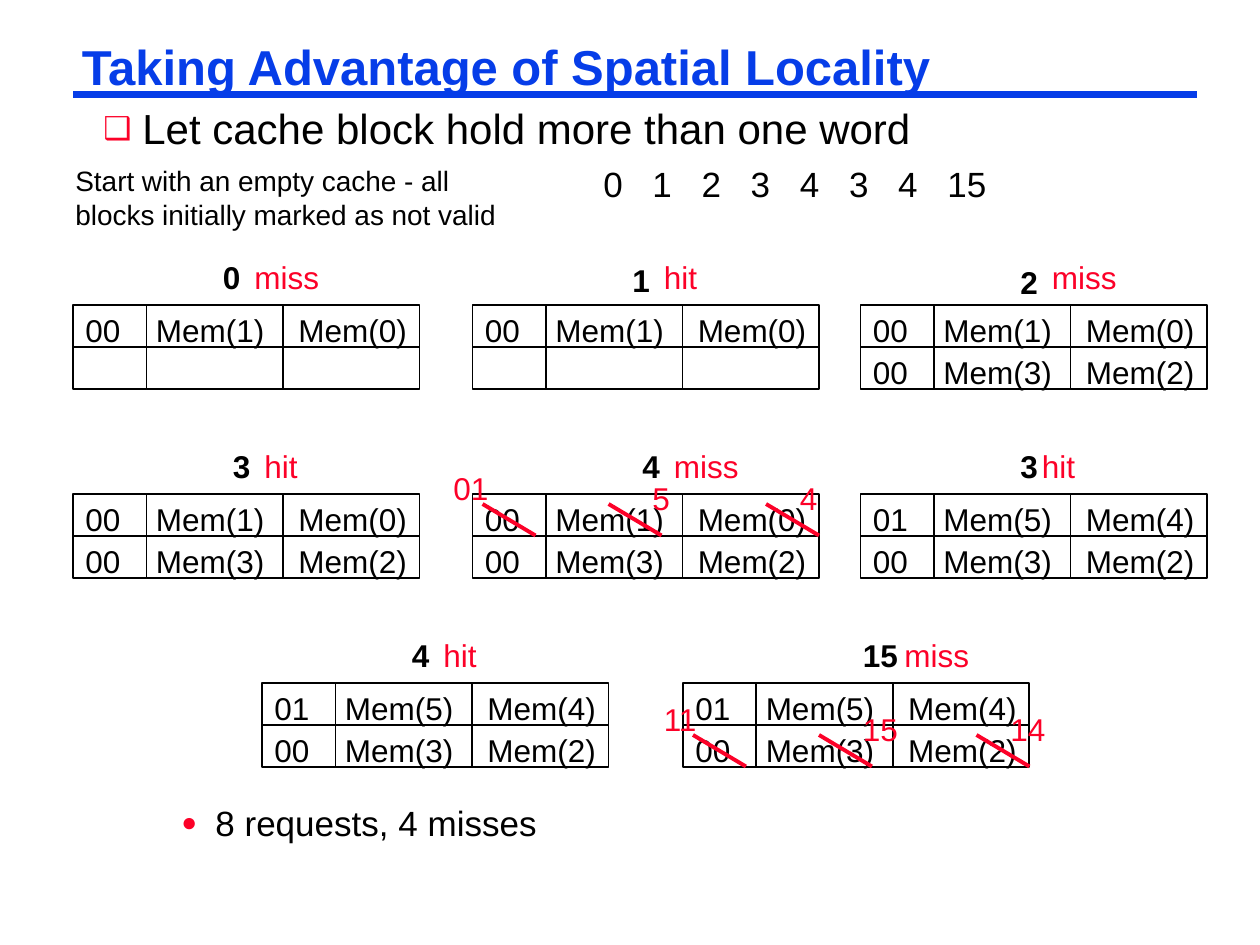
import pptx
import pptx.dml.color
import pptx.enum.shapes
import pptx.enum.text
import pptx.oxml
import pptx.oxml.ns
import pptx.util
from pptx.util import Inches

COLORS = {"title": "063DE8", "accent": "FC0128", "text": "000000"}
TAG_WIDTH, WORD_WIDTH = 7 / 12, 13 / 12
ROW_HEIGHT = 1 / 3
NS = pptx.oxml.ns.nsdecls("a")
ANCHOR = pptx.enum.text.MSO_ANCHOR


def rgb(name):
    return pptx.dml.color.RGBColor.from_string(COLORS[name])


class SlideBuilder:
    font = "Arial"

    def __init__(self, prs):
        self.slide = prs.slides.add_slide(prs.slide_layouts[6])

    def text(self, x, y, w, h, text, size=18, color="text", bold=False,
             wrap=False, insets=(0.1, 0.05), anchor=ANCHOR.TOP):
        sp = self.slide.shapes.add_textbox(
            Inches(x), Inches(y), Inches(w), Inches(h))
        tf = sp.text_frame
        tf.word_wrap = wrap
        tf.vertical_anchor = anchor
        tf.margin_left = tf.margin_right = Inches(insets[0])
        tf.margin_top = tf.margin_bottom = Inches(insets[1])
        tf.text = text
        p = tf.paragraphs[0]
        for r in p.runs:
            r.font.name = self.font
            r.font.size = pptx.util.Pt(size)
            r.font.bold = bold
            r.font.color.rgb = rgb(color)
        return p

    def bullet(self, x, y, w, h, text, char, size, margin, hanging):
        p = self.text(x, y, w, h, text, size, wrap=True, insets=(0.07, 0.03))
        pPr = p._p.get_or_add_pPr()
        pPr.set("marL", str(Inches(margin)))
        pPr.set("indent", str(-Inches(hanging)))
        for xml in (
            f'<a:buClr {NS}><a:srgbClr val="{COLORS["accent"]}"/></a:buClr>',
            f'<a:buSzPct {NS} val="75000"/>',
            f'<a:buFont {NS} typeface="{self.font}"/>',
            f'<a:buChar {NS} char="{char}"/>',
        ):
            pPr.append(pptx.oxml.parse_xml(xml))
        return p

    def tabbed(self, x, y, w, h, values, stops, size=18):
        p = self.text(x, y, w, h, "\t".join(values), size)
        tabs = "".join(f'<a:tab pos="{Inches(stop)}" algn="l"/>' for stop in stops)
        p._p.get_or_add_pPr().append(
            pptx.oxml.parse_xml(f"<a:tabLst {NS}>{tabs}</a:tabLst>"))

    def line(self, x1, y1, x2, y2, color, width):
        c = self.slide.shapes.add_connector(
            pptx.enum.shapes.MSO_CONNECTOR.STRAIGHT,
            Inches(x1), Inches(y1), Inches(x2), Inches(y2))
        c.line.color.rgb = rgb(color)
        c.line.width = pptx.util.Pt(width)
        c._element.spPr.append(pptx.oxml.parse_xml(f"<a:effectLst {NS}/>"))
        return c

    def column(self, x, y, w):
        """A two-row column: a box split by a line across its middle."""
        sp = self.slide.shapes.add_shape(
            pptx.enum.shapes.MSO_SHAPE.RECTANGLE,
            Inches(x), Inches(y), Inches(w), Inches(2 * ROW_HEIGHT))
        sp.shadow.inherit = False
        sp.fill.background()
        sp.line.color.rgb = rgb("text")
        sp.line.width = pptx.util.Pt(1)
        middle = y + ROW_HEIGHT
        c = self.line(x, middle, x + w, middle, "text", 1)
        c.begin_connect(sp, 1)
        c.end_connect(sp, 3)

    def cache(self, x, y, rows):
        self.column(x, y, TAG_WIDTH)
        for i in range(2):
            self.column(x + TAG_WIDTH + i * WORD_WIDTH, y, WORD_WIDTH)
        for i, row in enumerate(rows):
            self.tabbed(x, y + i * ROW_HEIGHT, 2.76, 0.4, row, (0.56, 1.69))

    def request(self, number, number_x, number_y, outcome, outcome_x, y):
        self.text(number_x, number_y, 0.2 + 0.14 * len(number), 0.4,
                  number, bold=True)
        self.text(outcome_x, y, 0.72 if outcome == "miss" else 0.47, 0.4,
                  outcome, color="accent")

    def replacement(self, x, y, values):
        """Strike out one cache row and write the new values beside it."""
        strikes = (0.08, 1.08, 2.33)
        labels = ((-0.25, -0.25), (1.33, -0.17), (2.5, -0.17))
        for value, strike, (dx, dy) in zip(values, strikes, labels):
            self.line(x + strike, y + 0.08, x + strike + 0.42, y + 0.33,
                      "accent", 2.25)
            self.text(x + dx, y + dy, 0.2 + 0.14 * len(value), 0.4,
                      value, color="accent")


def main():
    prs = pptx.Presentation()
    prs.slide_width, prs.slide_height = Inches(10), Inches(7.5)
    s = SlideBuilder(prs)

    # Title and rule
    s.line(0.58, 0.75, 9.5, 0.75, "title", 4.5)
    p = s.text(0.58, 0.33, 8.92, 0.46, "Taking Advantage of Spatial Locality",
               28, "title", True, True, (0.07, 0.03), ANCHOR.BOTTOM)
    p.line_spacing = 0.87

    # Introduction and the sequence of requested words
    p = s.bullet(0.75, 0.83, 8.58, 0.41,
                 "Let cache block hold more than one word", "❑", 24, 0.31, 0.31)
    p.line_spacing = 0.9
    s.text(0.5, 1.25, 3.75, 0.64, "Start with an empty cache - all "
           "blocks initially marked as not valid", 16, wrap=True)
    s.tabbed(4.69, 1.24, 3.3, 0.42, ("0", "1", "2", "3", "4", "3", "4", "15"),
             [0.39 * i for i in range(1, 8)], 20)

    # Cache contents after each request
    mem10 = ("00", "Mem(1)", "Mem(0)")
    mem32 = ("00", "Mem(3)", "Mem(2)")
    mem54 = ("01", "Mem(5)", "Mem(4)")
    left, middle, right = 0.58, 3.75, 6.83
    top, center, bottom = 2.42, 3.92, 5.42
    # x, y, rows, number, number x, number drop, outcome, outcome x
    steps = (
        (left, top, (mem10,), "0", 1.67, 0, "miss", 1.92),
        (middle, top, (mem10,), "1", 4.92, 0.02, "hit", 5.17),
        (right, top, (mem10, mem32), "2", 8, 0.04, "miss", 8.25),
        (left, center, (mem10, mem32), "3", 1.75, 0, "hit", 2),
        (middle, center, (mem10, mem32), "4", 5, 0, "miss", 5.25),
        (right, center, (mem54, mem32), "3", 8, 0, "hit", 8.17),
        (2.08, bottom, (mem54, mem32), "4", 3.17, 0, "hit", 3.42),
        (5.42, bottom, (mem54, mem32), "15", 6.75, 0, "miss", 7.08),
    )
    for x, y, rows, number, number_x, drop, outcome, outcome_x in steps:
        s.cache(x, y, rows)
        label_y = y - 0.42
        s.request(number, number_x, label_y + drop, outcome, outcome_x, label_y)

    # Replaced blocks
    s.replacement(middle, center, ("01", "5", "4"))
    s.replacement(5.42, bottom + ROW_HEIGHT, ("11", "15", "14"))

    # Summary
    s.bullet(0.83, 6.33, 8.92, 0.39, "8 requests, 4 misses", "●", 20, 0.81, 0.27)

    prs.save("out.pptx")


if __name__ == "__main__":
    main()
